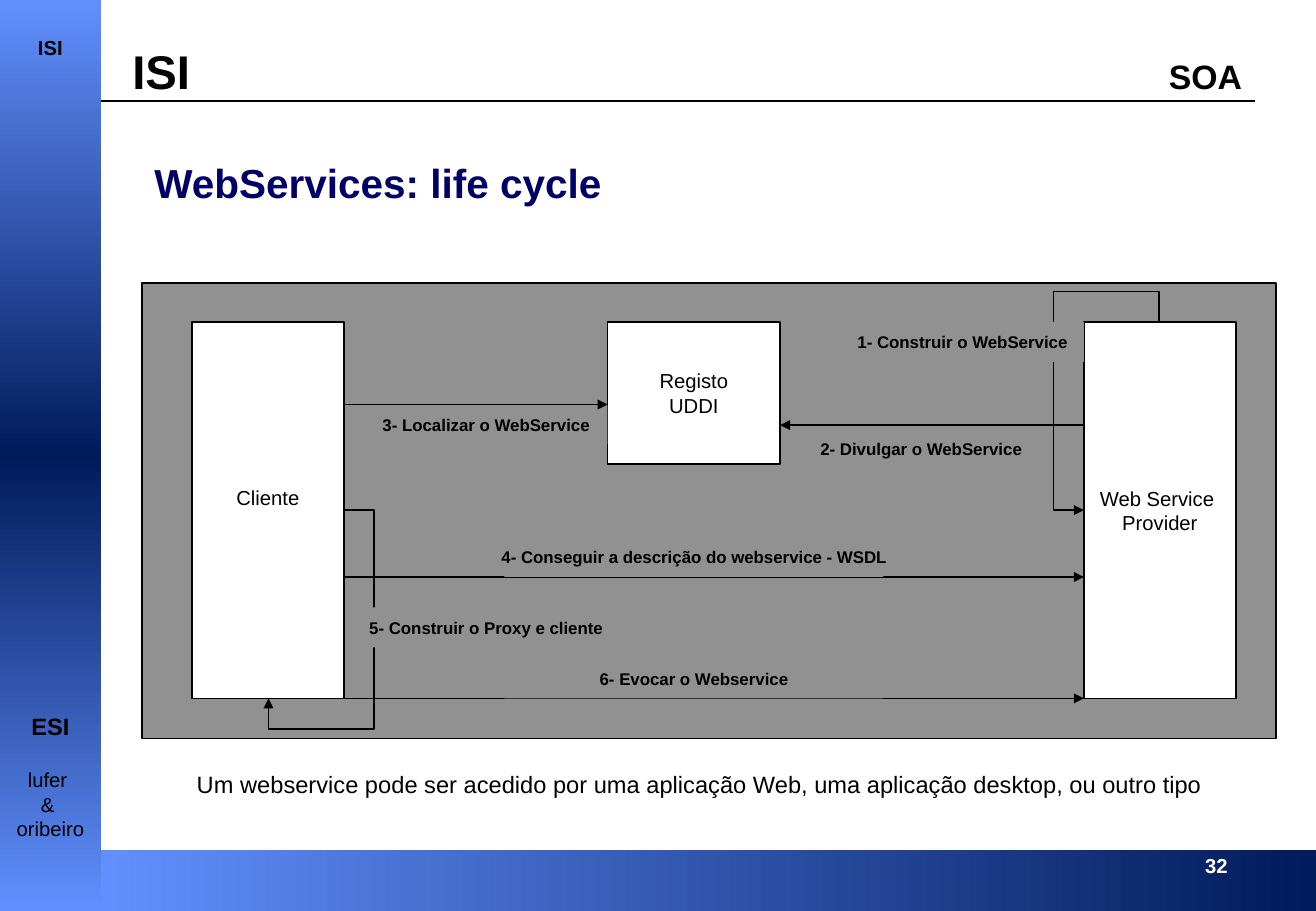
"""Builds the slide on the life cycle of web services."""
from dataclasses import dataclass
from lxml.etree import SubElement
from pptx import Presentation
from pptx.dml.color import RGBColor as Rgb
from pptx.enum.shapes import MSO_CONNECTOR as Link, MSO_SHAPE as Form
from pptx.enum.text import MSO_ANCHOR as Anchor, MSO_AUTO_SIZE as Auto, PP_ALIGN as Align
from pptx.oxml.ns import qn
from pptx.util import Inches, Pt


@dataclass(frozen=True)
class Theme:
    """Colours, type sizes and font of the slide."""
    font: str = "Arial"
    black: str = "000000"
    white: str = "FFFFFF"
    navy: str = "000066"
    gray: str = "919191"
    light: str = "618FFD"
    deep: str = "011B5B"
    brand: int = 28
    title: int = 24
    topic: int = 20
    note: int = 14
    node: int = 12
    label: int = 10
    rule: int = 1


look = Theme()
size = (10.83, 7.5)
title = "WebServices: life cycle"
note = "Um webservice pode ser acedido por uma aplicação Web, uma aplicação desktop, ou outro tipo "
page = "32"
side = [
    (["ISI"], 0.39, look.node, True),
    (["ESI"], 5.98, look.note, True),
    (["lufer ", "& ", "oribeiro"], 6.62, look.node, False),
]
frame = (1.17, 2.33, 9.33, 3.75)
nodes = [
    (["Web Service ", "Provider"], (8.92, 2.65, 1.25, 3.1), 0.05),
    (["Cliente"], (1.58, 2.65, 1.25, 3.1), 0.25),
    (["Registo", "UDDI"], (5, 2.65, 1.42, 1.17), 0.05),
]
tall = 0.33
steps = [
    ("1- Construir o WebService", (6.92, 2.65, 2),
     [(9.54, 2.65), (9.54, 2.4), (8.67, 2.4), (8.67, 4.2), (8.92, 4.2)], True),
    ("2- Divulgar o WebService", (6.58, 3.53, 2), [(8.92, 3.5), (6.42, 3.5)], False),
    ("3- Localizar o WebService", (3, 3.33, 2), [(2.83, 3.33), (5, 3.33)], False),
    ("5- Construir o Proxy e cliente", (3, 5, 2),
     [(2.83, 4.2), (3.08, 4.2), (3.08, 6), (2.21, 6), (2.21, 5.75)], True),
    ("4- Conseguir a descrição do webservice - WSDL", (4.15, 4.42, 3.12),
     [(2.83, 4.75), (8.92, 4.75)], True),
    ("6- Evocar o Webservice", (4.15, 5.42, 3.12), [(2.83, 5.75), (8.92, 5.75)], True),
]

deck = Presentation()
deck.slide_width, deck.slide_height = map(Inches, size)
slide = deck.slides.add_slide(deck.slide_layouts[5])
shapes = slide.shapes


def add_run(para, text, pts, bold=False, color=look.black):
    """Add one styled run to a paragraph."""
    run = para.add_run()
    run.text = text
    run.font.name, run.font.size, run.font.bold = look.font, Pt(pts), bold
    run.font.color.rgb = Rgb.from_string(color)


def write(shape, lines, pts, bold=False, color=look.black,
          align=Align.CENTER, anchor=Anchor.MIDDLE, wrap=False):
    """Fill a shape with one paragraph per line."""
    body = shape.text_frame
    body.word_wrap, body.auto_size = wrap, Auto.NONE
    body.vertical_anchor = anchor
    for i, line in enumerate(lines):
        para = body.add_paragraph() if i else body.paragraphs[0]
        para.alignment = align
        add_run(para, line, pts, bold, color)


def add_text(box, *args, **style):
    """Add a text box."""
    shape = shapes.add_textbox(*map(Inches, box))
    write(shape, *args, **style)


def add_box(box, fill=None, edge=False):
    """Add a plain rectangle."""
    shape = shapes.add_shape(Form.RECTANGLE, *map(Inches, box))
    shape.shadow.inherit = False
    if fill:
        shape.fill.solid()
        shape.fill.fore_color.rgb = Rgb.from_string(fill)
    if edge:
        ink(shape)
    else:
        shape.line.fill.background()
    return shape


def add_fade(box, colors, angle):
    """Add a rectangle with evenly spaced gradient stops."""
    shape = add_box(box)
    shape.fill.gradient()
    shape.fill.gradient_angle = angle
    stops = shape._element.spPr.find(".//" + qn("a:gsLst"))
    stops.clear()
    for i, color in enumerate(colors):
        stop = SubElement(stops, qn("a:gs"), pos=str(100000 * i // (len(colors) - 1)))
        SubElement(stop, qn("a:srgbClr"), val=color)


def ink(shape):
    """Give a shape the black outline."""
    shape.line.color.rgb = Rgb.from_string(look.black)
    shape.line.width = Pt(look.rule)


def add_line(points, arrow=True):
    """Draw a straight connector or a bent open outline."""
    spots = [tuple(map(Inches, point)) for point in points]
    if len(spots) == 2:
        line = shapes.add_connector(Link.STRAIGHT, *spots[0], *spots[1])
        ink(line)
        SubElement(line._element.spPr, qn("a:effectLst"))
    else:
        pen = shapes.build_freeform(*spots[0])
        pen.add_line_segments(spots[1:], close=False)
        line = pen.convert_to_shape()
        line.fill.background()
        ink(line)
        line.shadow.inherit = False
    if arrow:
        SubElement(line._element.spPr.find(qn("a:ln")), qn("a:tailEnd"), type="triangle")


def add_head():
    """Add the header with its tab stop and rule."""
    shape = shapes.add_textbox(*map(Inches, (0.99, 0.3, 9.62, 0.57)))
    shape.text_frame.word_wrap = True
    para = shape.text_frame.paragraphs[0]
    tabs = SubElement(para._p.get_or_add_pPr(), qn("a:tabLst"))
    SubElement(tabs, qn("a:tab"), pos=str(Inches(8.53)), algn="l")
    add_run(para, "ISI\t", look.brand, True)
    add_run(para, "SOA", look.topic, True)
    add_line([(0.83, 0.83), (10.33, 0.83)], arrow=False)


def add_step(text, spot, points, over):
    """Add a label and its arrow in stacking order."""
    if over:
        add_line(points)
    write(add_box((*spot, tall), look.gray), [text], look.label, True)
    if not over:
        add_line(points)


def main():
    """Build and save the slide."""
    add_fade((0.83, 7, 10, 0.5), [look.light, look.deep], 0)
    add_text((9.82, 6.98, 0.47, 0.3), [page], look.node, True, look.white,
             align=Align.LEFT, anchor=Anchor.TOP)
    add_fade((0, 0, 0.83, 7.5), [look.light, look.deep, look.light], 90)
    for lines, mid, pts, bold in side:
        high = 0.1 + 0.2 * len(lines)
        add_text((0, mid - high / 2, 0.83, high), lines, pts, bold)
    add_head()
    head = shapes.title
    head.left, head.top, head.width, head.height = map(Inches, (1.17, 1.25, 7.08, 0.5))
    write(head, [title], look.title, True, look.navy,
          align=Align.LEFT, anchor=Anchor.TOP, wrap=True)
    add_text((1.07, 6.29, 9.43, 0.33), [note], look.note, anchor=Anchor.TOP, wrap=True)
    add_box(frame, look.gray, True)
    for lines, box, foot in nodes:
        node = add_box(box, look.white, True)
        node.text_frame.margin_bottom = Inches(foot)
        write(node, lines, look.node)
    for step in steps:
        add_step(*step)
    deck.save("out.pptx")


if __name__ == "__main__":
    main()
